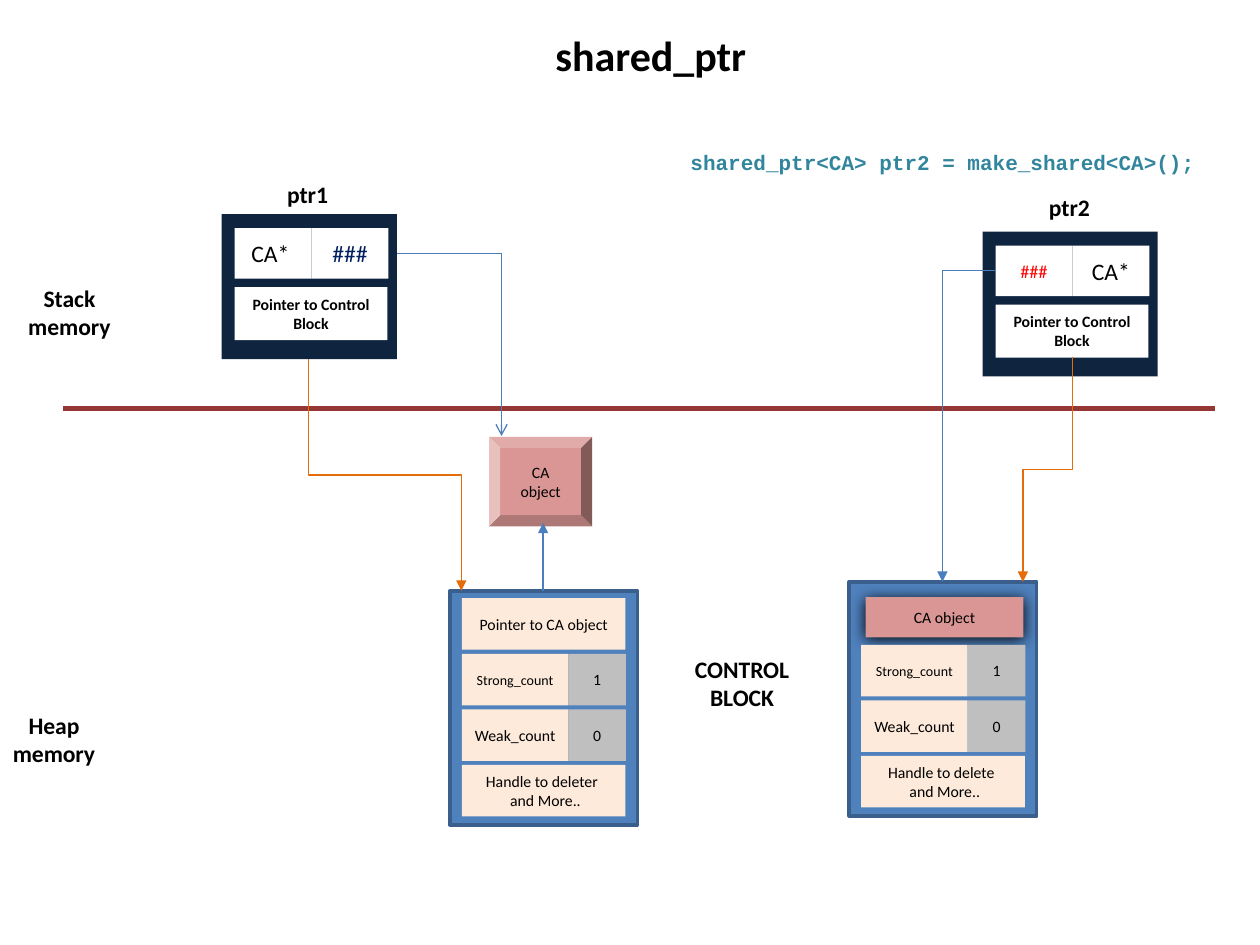
from pptx import Presentation
from pptx.dml.color import RGBColor as RGB
from pptx.enum.shapes import MSO_CONNECTOR as Link, MSO_SHAPE as Form
from pptx.enum.text import MSO_ANCHOR as Anchor, PP_ALIGN as Align
from pptx.oxml.ns import qn
from pptx.util import Cm, Pt
from lxml.etree import SubElement as Sub

WHITE = RGB(0xFF, 0xFF, 0xFF)
BLACK = RGB(0, 0, 0)
RED = RGB(0xFF, 0, 0)
DARK = RGB(0x00, 0x20, 0x60)
NAVY = RGB(0x0F, 0x24, 0x3E)
PINK = RGB(0xD9, 0x96, 0x94)
BLUE = RGB(0x4F, 0x81, 0xBD)
EDGE = RGB(0x3A, 0x5F, 0x8C)
CREAM = RGB(0xFD, 0xEA, 0xDA)
GREY = RGB(0xBF, 0xBF, 0xBF)
BRICK = RGB(0x95, 0x37, 0x35)
SKY = RGB(0x4B, 0x7E, 0xBC)
RUST = RGB(0xE4, 0x6C, 0x0A)
TEAL = RGB(0x31, 0x85, 0x9C)


class Board:
    font = "Calibri"
    mono = "Courier New"

    def __init__(self, slide):
        self.slide = slide
        self.host = slide.shapes

    def words(self, frame, text, size, color=BLACK, bold=False,
              font=None, align=Align.CENTER):
        frame.word_wrap = True
        frame.text = text
        for para in frame.paragraphs:
            para.alignment = align
            for run in para.runs:
                run.font.name = font or self.font
                run.font.size = Pt(size)
                run.font.bold = bold
                run.font.color.rgb = color

    def title(self, text, x, y, w, h):
        shape = self.slide.shapes.title
        shape.left, shape.top, shape.width, shape.height = map(Cm, (x, y, w, h))
        self.words(shape.text_frame, text, 24, bold=True)
        shape.text_frame.vertical_anchor = Anchor.MIDDLE

    def label(self, text, x, y, w=2.74, h=1.42, size=13.5, **look):
        box = self.slide.shapes.add_textbox(Cm(x), Cm(y), Cm(w), Cm(h))
        self.words(box.text_frame, text, size, bold=True, **look)

    def box(self, x, y, w, h, fill, text="", size=9, form=Form.RECTANGLE,
            edge=None, **look):
        shape = self.host.add_shape(form, Cm(x), Cm(y), Cm(w), Cm(h))
        shape.shadow.inherit = False
        shape.fill.solid()
        shape.fill.fore_color.rgb = fill
        if edge:
            shape.line.color.rgb = edge
            shape.line.width = Pt(2)
        else:
            shape.line.fill.background()
        if text:
            self.words(shape.text_frame, text, size, **look)
            shape.text_frame.vertical_anchor = Anchor.MIDDLE
        return shape

    def glow(self, shape):
        effects = shape.element.spPr.find(qn("a:effectLst"))
        shade = Sub(effects, qn("a:outerShdw"), blurRad=str(Pt(8.5)),
                    dist=str(Pt(1)), dir="5400000", algn="ctr", rotWithShape="0")
        Sub(shade, qn("a:srgbClr"), val="000000")

    def line(self, x, y, x2, y2, color, width=0.75, head=None, kind=Link.STRAIGHT):
        wire = self.slide.shapes.add_connector(kind, Cm(x), Cm(y), Cm(x2), Cm(y2))
        wire.line.color.rgb = color
        wire.line.width = Pt(width)
        if head:
            Sub(wire.element.spPr.find(qn("a:ln")), qn("a:tailEnd"), type=head)
        Sub(wire.element.spPr, qn("a:effectLst"))
        return wire

    def corner(self, x, y, x2, y2, color):
        wire = self.line(x, y, x2, y2, color, head="triangle", kind=Link.ELBOW)
        wire.element.spPr.find(qn("a:prstGeom")).set("prst", "bentConnector2")

    def drop(self, x, y, x2, y2, color):
        mid_x, mid_y = (x + x2) / 2, (y + y2) / 2
        half_w, half_h = abs(y2 - y) / 2, abs(x2 - x) / 2
        wire = self.line(mid_x - half_w, mid_y - half_h, mid_x + half_w,
                         mid_y + half_h, color, head="triangle", kind=Link.ELBOW)
        frame = wire.element.spPr.find(qn("a:xfrm"))
        if x2 > x:
            frame.set("rot", "16200000")
            frame.set("flipH", "1")
        else:
            frame.set("rot", "5400000")

    def group(self):
        self.host = self.slide.shapes.add_group_shape().shapes

    def handle(self, x, y, cells):
        self.group()
        self.box(x, y, 3.53, 2.92, NAVY)
        for i, (text, size, color) in enumerate(cells):
            self.box(x + 0.26 + 1.55 * i, y + 0.28, 1.55, 1.02, WHITE,
                     text, size, color=color)
        self.box(x + 0.26, y + 1.47, 3.08, 1.07, WHITE,
                 "Pointer to Control Block", bold=True)
        self.host = self.slide.shapes

    def block(self, x, y, top, last):
        self.group()
        self.box(x, y, 3.78, 4.72, BLUE, edge=EDGE)
        left = x + 0.24
        rows = [y + 0.15 + 1.12 * i for i in range(4)]
        if top == "CA object":
            self.glow(self.box(x + 0.33, y + 0.31, 3.18, 0.81, PINK, top))
        else:
            self.box(left, rows[0], 3.3, 1.04, CREAM, top)
        counts = [("Strong_count", 8, "1"), ("Weak_count", 9, "0")]
        for row, (name, size, count) in zip(rows[1:], counts):
            self.box(left, row, 2.15, 1.04, CREAM, name, size)
            self.box(left + 2.15, row, 1.16, 1.04, GREY, count)
        self.box(left, rows[3], 3.3, 1.04, CREAM, last)
        self.host = self.slide.shapes


def main():
    deck = Presentation()
    deck.slide_width, deck.slide_height = Cm(25.4), Cm(19.05)
    board = Board(deck.slides.add_slide(deck.slide_layouts[5]))

    board.title("shared_ptr", 10.67, 0.46, 4.9, 1.27)
    board.handle(19.81, 4.67, [("###", 10.5, RED), ("CA*", 13.5, BLACK)])
    board.handle(4.47, 4.32, [("CA* ", 13.5, BLACK), ("###", 13.5, DARK)])
    board.box(9.86, 8.81, 2.08, 1.8, PINK, "CA object", form=Form.BEVEL)
    board.block(9.07, 11.91, "Pointer to CA object",
                "Handle to deleter \n and More..")
    board.block(17.12, 11.73, "CA object", "Handle to delete \n and More..")

    board.label("CONTROL BLOCK", 13.59, 13.08)
    board.label("Stack memory", 0.03, 5.59)
    board.label("Heap memory", -0.28, 14.2)
    board.label("ptr1", 5.49, 3.51, 1.42, 0.84)
    board.label("ptr2", 20.85, 3.76, 1.42, 0.84)
    board.label("shared_ptr<CA> ptr2 = make_shared<CA>();", 13.67, 2.9, 11.28,
                0.79, 12, color=TEAL, font=board.mono, align=Align.LEFT)

    board.line(1.27, 8.23, 24.49, 8.23, BRICK, 3)
    board.line(8, 5.11, 10.11, 5.11, SKY)
    board.line(10.11, 5.11, 10.11, 8.79, SKY, head="arrow")
    board.line(10.95, 11.91, 10.95, 10.54, SKY, head="triangle")
    board.drop(6.22, 7.24, 9.3, 11.91, RUST)
    board.corner(20.07, 5.46, 19, 11.73, SKY)
    board.drop(21.62, 7.19, 20.62, 11.73, RUST)
    deck.save("out.pptx")


if __name__ == "__main__":
    main()
